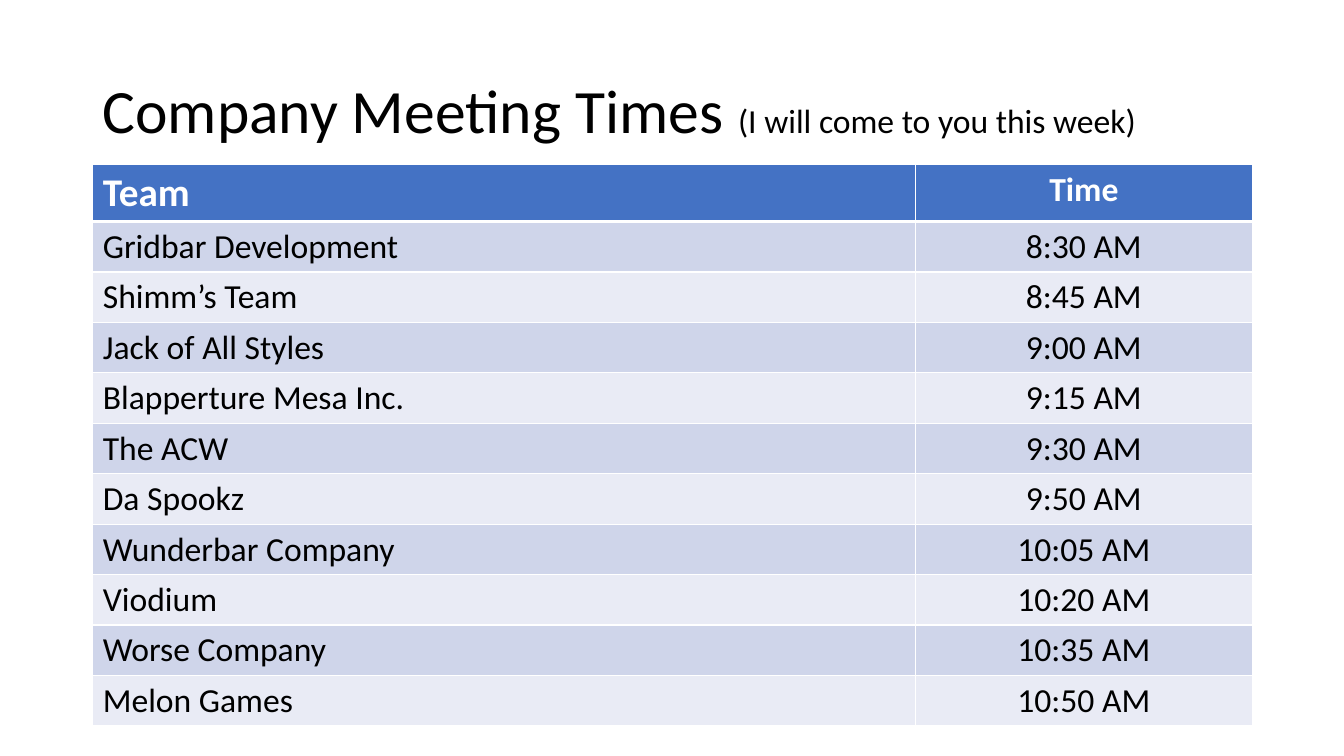
from lxml.etree import SubElement
from pptx import Presentation
from pptx.dml.color import RGBColor as RGB
from pptx.enum.text import MSO_ANCHOR as ANCHOR, PP_ALIGN as ALIGN
from pptx.oxml.ns import qn
from pptx.util import Inches, Pt

COLORS = {"text": "000000", "white": "FFFFFF", "header": "4472C4",
          "band_dark": "CFD5EA", "band_light": "E9EBF5"}

MEETINGS = [
    ("Team", "Time"),
    ("Gridbar Development", "8:30 AM"),
    ("Shimm’s Team", "8:45 AM"),
    ("Jack of All Styles", "9:00 AM"),
    ("Blapperture Mesa Inc.", "9:15 AM"),
    ("The ACW", "9:30 AM"),
    ("Da Spookz", "9:50 AM"),
    ("Wunderbar Company", "10:05 AM"),
    ("Viodium", "10:20 AM"),
    ("Worse Company", "10:35 AM"),
    ("Melon Games", "10:50 AM"),
]


class SlideBuilder:
    """Holds the style and the current slide."""

    font = "Calibri"

    def __init__(self, s):
        """Keep the slide to draw on."""
        self.s = s

    def style(self, font, size, color, bold=False):
        """Apply the slide's font with a size and a colour."""
        font.name, font.size, font.bold = self.font, Pt(size), bold
        font.color.rgb = RGB.from_string(COLORS[color])

    def title(self, box, parts):
        """Add a one-line title from (text, size) parts."""
        tf = self.s.shapes.add_textbox(*map(Inches, box)).text_frame
        tf.word_wrap = True
        tf.vertical_anchor = ANCHOR.MIDDLE
        p = tf.paragraphs[0]
        p.line_spacing = 0.9
        for text, size in parts:
            r = p.add_run()
            r.text = text
            self.style(r.font, size, "text")

    def borders(self, cell, widths):
        """Draw white cell borders; widths maps each side to points."""
        tc_pr = cell._tc.get_or_add_tcPr()
        for i, side in enumerate("LRTB"):
            ln = SubElement(tc_pr, qn(f"a:ln{side}"), w=str(Pt(widths[side])))
            fill = SubElement(ln, qn("a:solidFill"))
            SubElement(fill, qn("a:srgbClr"), val=COLORS["white"])
            tc_pr.insert(i, ln)

    def cell(self, cell, text, fill, size, color, bold, align):
        """Fill one table cell and set its text."""
        cell.fill.solid()
        cell.fill.fore_color.rgb = RGB.from_string(COLORS[fill])
        cell.text = text
        p = cell.text_frame.paragraphs[0]
        p.alignment = align
        self.style(p.font, size, color, bold)

    def table(self, box, rows, col_widths, row_heights):
        """Add a banded table with a header row."""
        frame = self.s.shapes.add_table(len(rows), len(col_widths),
                                        *map(Inches, box))
        table = frame.table
        for col, width in zip(table.columns, col_widths):
            col.width = Inches(width)
        for i, (row, height) in enumerate(zip(rows, row_heights)):
            table.rows[i].height = Inches(height)
            header = i == 0
            band = "band_dark" if i % 2 else "band_light"
            for j, text in enumerate(row):
                cell = table.cell(i, j)
                self.cell(cell, text,
                          fill="header" if header else band,
                          size=28 if header and j == 0 else 24,
                          color="white" if header else "text",
                          bold=header,
                          align=ALIGN.CENTER if j else ALIGN.LEFT)
                self.borders(cell, {"L": 1, "R": 1,
                                    "T": 3 if i == 1 else 1,
                                    "B": 3 if header else 1})


def main():
    """Build the meeting times slide."""
    prs = Presentation()
    prs.slide_width, prs.slide_height = Inches(13.33), Inches(7.5)
    slide = SlideBuilder(prs.slides.add_slide(prs.slide_layouts[6]))
    slide.title((0.92, 0.4, 11.5, 1.45),
                [("Company Meeting Times ", 44),
                 ("(I will come to you this week)", 24)])
    body_rows = len(MEETINGS) - 1
    slide.table((0.92, 1.63, 11.5, 5.57), MEETINGS,
                col_widths=(8.16, 3.34),
                row_heights=[0.51] + [0.5] * body_rows)
    prs.save("out.pptx")


main()
